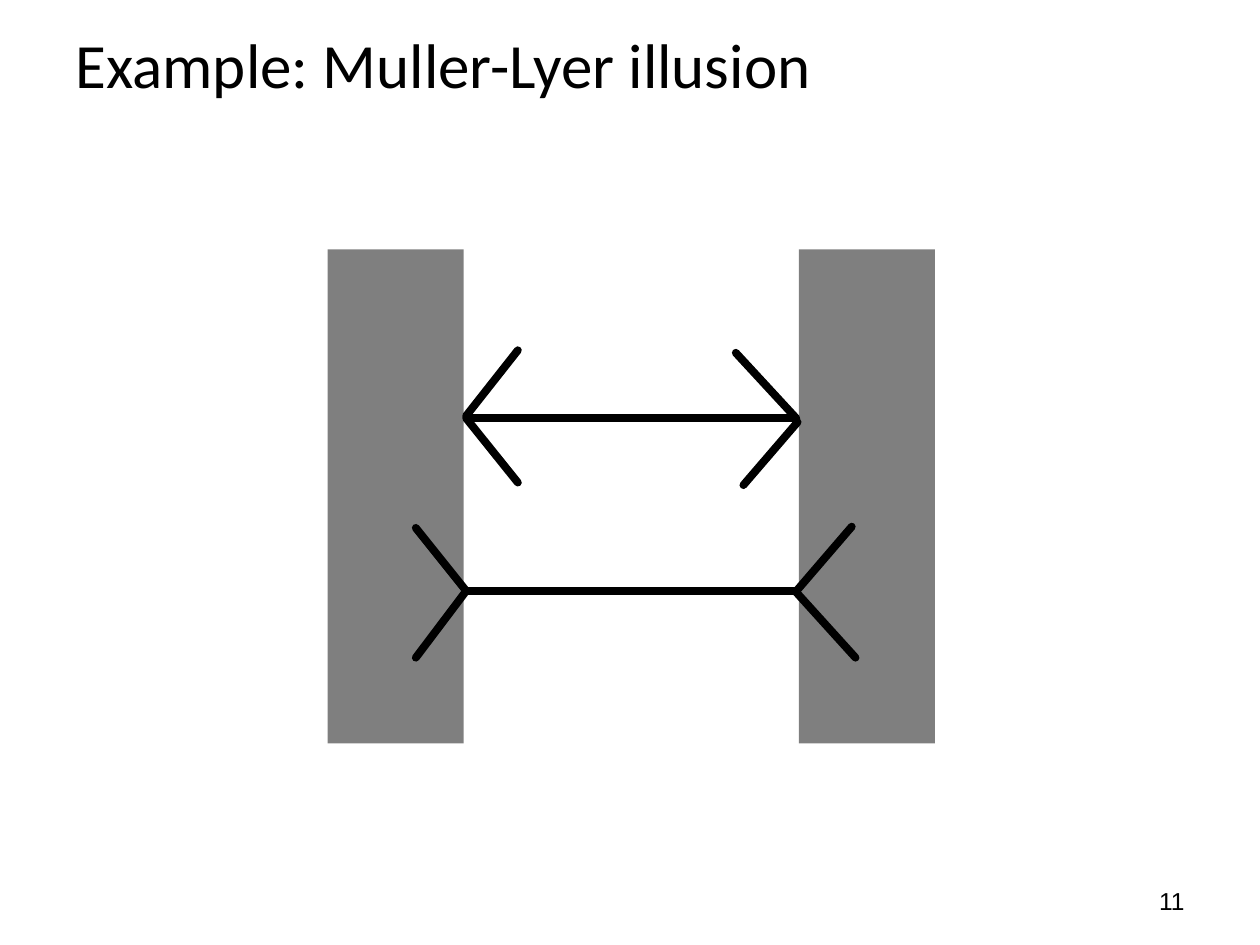
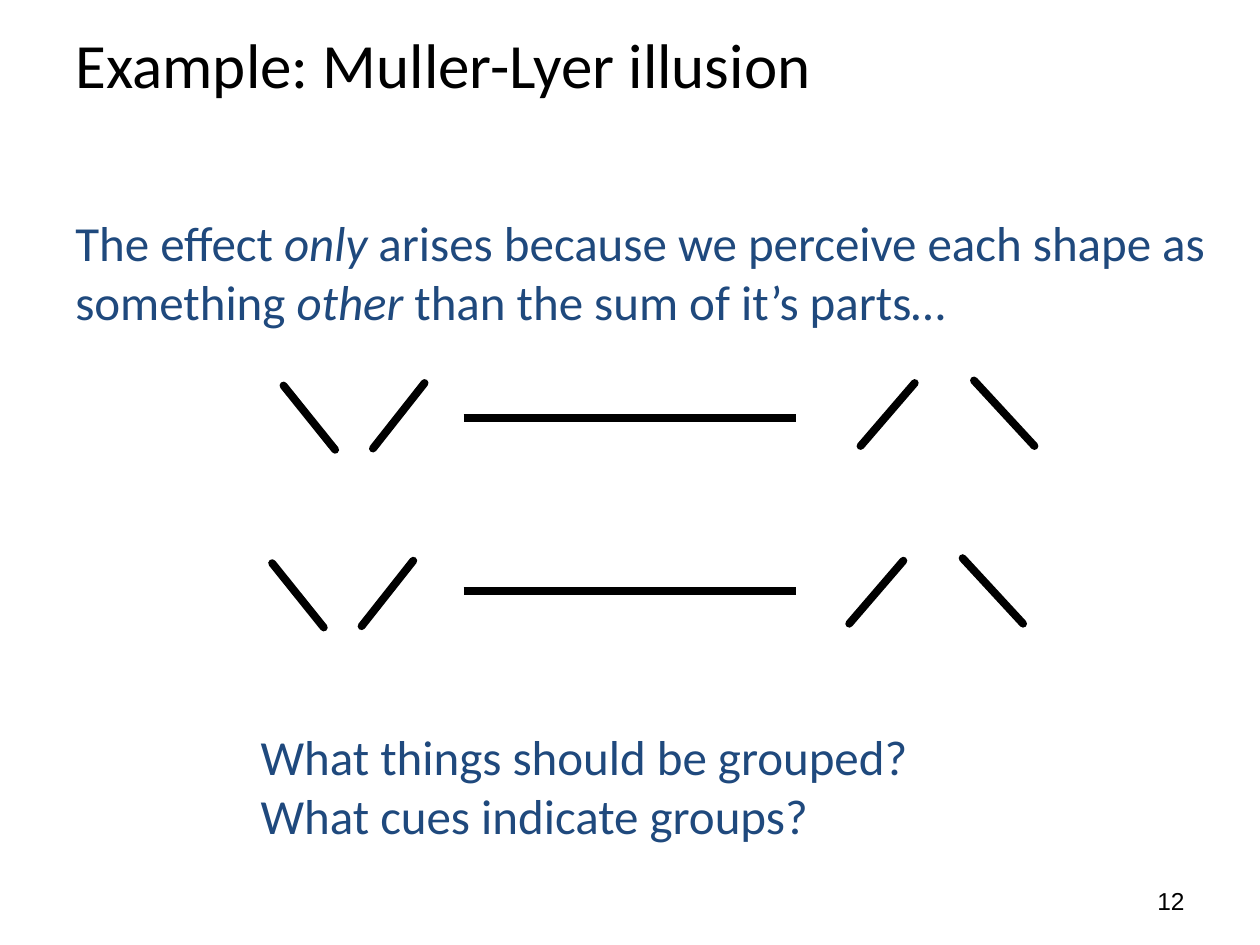
from dataclasses import dataclass

from lxml import etree
from pptx import Presentation
from pptx import util as u
from pptx.dml.color import RGBColor
from pptx.enum import shapes, text
from pptx.oxml import ns


@dataclass(frozen=True)
class Theme:
    black: RGBColor = RGBColor(0x00, 0x00, 0x00)
    blue: RGBColor = RGBColor(0x1F, 0x49, 0x7D)
    main_font: str = "Calibri"
    number_font: str = "Arial"
    title_size: int = 36
    body_size: int = 28
    number_size: int = 14
    line_width: float = 4.5
    bar_opacity: int = 50


class Deck:
    """Holds the style and the current slide."""

    def __init__(self, theme):
        self.theme = theme
        self.presentation = Presentation()
        self.presentation.slide_width = u.Inches(10)
        self.presentation.slide_height = u.Inches(7.5)
        self.slide = None

    def format_runs(self, paragraph, size, color, font):
        for run in paragraph.runs:
            run.font.size = u.Pt(size)
            run.font.name = font
            run.font.color.rgb = color

    def place(self, shape, left, top, width, height):
        shape.left, shape.top = u.Inches(left), u.Inches(top)
        shape.width, shape.height = u.Inches(width), u.Inches(height)

    def add_slide(self, title, number):
        theme = self.theme
        layout = self.presentation.slide_layouts[5]
        self.slide = self.presentation.slides.add_slide(layout)

        # Title
        title_shape = self.slide.shapes.title
        self.place(title_shape, 0.5, 0, 9, 1)
        frame = title_shape.text_frame
        frame.text = title
        frame.vertical_anchor = text.MSO_ANCHOR.MIDDLE
        frame.paragraphs[0].alignment = text.PP_ALIGN.LEFT
        self.format_runs(frame.paragraphs[0], theme.title_size,
                         theme.black, theme.main_font)

        # Slide number
        frame = self.add_frame(7.17, 6.95, 2.33, 0.4)
        frame.text = str(number)
        frame.vertical_anchor = text.MSO_ANCHOR.MIDDLE
        frame.paragraphs[0].alignment = text.PP_ALIGN.RIGHT
        self.format_runs(frame.paragraphs[0], theme.number_size,
                         theme.black, theme.number_font)

    def add_frame(self, left, top, width, height):
        box = self.slide.shapes.add_textbox(0, 0, 0, 0)
        self.place(box, left, top, width, height)
        box.text_frame.word_wrap = True
        return box.text_frame

    def add_body(self, left, top, width, height, parts):
        """Write (wording, italic) parts as one paragraph."""
        paragraph = self.add_frame(left, top, width, height).paragraphs[0]
        for wording, italic in parts:
            run = paragraph.add_run()
            run.text = wording
            run.font.italic = italic
        self.format_runs(paragraph, self.theme.body_size,
                         self.theme.blue, self.theme.main_font)

    def add_questions(self, left, top, width, height, questions):
        frame = self.add_frame(left, top, width, height)
        frame.text = "\n".join(questions)
        for paragraph in frame.paragraphs:
            self.format_runs(paragraph, self.theme.body_size,
                             self.theme.blue, self.theme.main_font)

    def add_line(self, start, end, container=None, round_cap=False):
        target = container or self.slide
        line = target.shapes.add_connector(
            shapes.MSO_CONNECTOR.STRAIGHT,
            *(u.Inches(value) for value in (*start, *end)))
        line.line.width = u.Pt(self.theme.line_width)
        line.line.color.rgb = self.theme.black
        if round_cap:
            line.line._get_or_add_ln().set("cap", "rnd")
        etree.SubElement(line._element.spPr, ns.qn("a:effectLst"))

    def add_fins(self, fins, shift=(0, 0)):
        group = self.slide.shapes.add_group_shape()
        for ends in fins:
            start, end = ((x + shift[0], y + shift[1]) for x, y in ends)
            self.add_line(start, end, group, round_cap=True)

    def add_bar(self, left, top, width, height):
        bar = self.slide.shapes.add_shape(
            shapes.MSO_SHAPE.RECTANGLE, 0, 0, 0, 0)
        self.place(bar, left, top, width, height)
        bar.shadow.inherit = False
        bar.line.fill.background()
        bar.fill.solid()
        bar.fill.fore_color.rgb = self.theme.black
        color = bar._element.spPr.find(".//" + ns.qn("a:srgbClr"))
        alpha = etree.SubElement(color, ns.qn("a:alpha"))
        alpha.set("val", str(self.theme.bar_opacity * 1000))


TITLE = "Example: Muller-Lyer illusion"
SHAFT_LEFT, SHAFT_RIGHT = 3.68, 6.32
SHAFT_HEIGHTS = (3.32, 4.69)

# Fins that meet the shaft ends: pointing inwards above, outwards below
INWARD_FINS = [
    ((3.7, 3.3), (4.11, 2.78)), ((3.7, 3.32), (4.11, 3.83)),
    ((5.84, 2.8), (6.32, 3.32)), ((6.33, 3.35), (5.9, 3.85)),
]
OUTWARD_FINS = [
    ((3.3, 4.19), (3.7, 4.69)), ((3.3, 5.22), (3.7, 4.69)),
    ((6.76, 4.18), (6.33, 4.68)), ((6.31, 4.69), (6.79, 5.22)),
]
# Fins taken apart, the same set beside each shaft
LOOSE_FINS = [
    ((2.25, 3.06), (2.66, 3.57)), ((2.96, 3.56), (3.37, 3.04)),
    ((7.26, 3.04), (6.83, 3.54)), ((7.73, 3.02), (8.21, 3.54)),
]
LOOSE_SHIFTS = ((0, 0), (-0.09, 1.41))


def add_illusion_slide(deck, number):
    deck.add_slide(TITLE, number)
    for height in SHAFT_HEIGHTS:
        deck.add_line((SHAFT_LEFT, height), (SHAFT_RIGHT, height))
    return deck


def main():
    deck = Deck(Theme())

    # Whole figures between two bars
    add_illusion_slide(deck, 11)
    for fins in (INWARD_FINS, OUTWARD_FINS):
        deck.add_fins(fins)
    for left in (2.6, 6.34):
        deck.add_bar(left, 1.98, 1.08, 3.92)

    # Figures split into parts
    add_illusion_slide(deck, 12)
    deck.add_questions(1.97, 5.72, 7.5, 1.25, [
        "What things should be grouped?", "What cues indicate groups?"])
    deck.add_body(0.5, 1.64, 9.5, 1.25, [
        ("The effect ", False), ("only", True),
        (" arises because we perceive each shape as something ", False),
        ("other", True), (" than the sum of it’s parts…", False)])
    for shift in LOOSE_SHIFTS:
        deck.add_fins(LOOSE_FINS, shift)

    deck.presentation.save("out.pptx")


if __name__ == "__main__":
    main()
